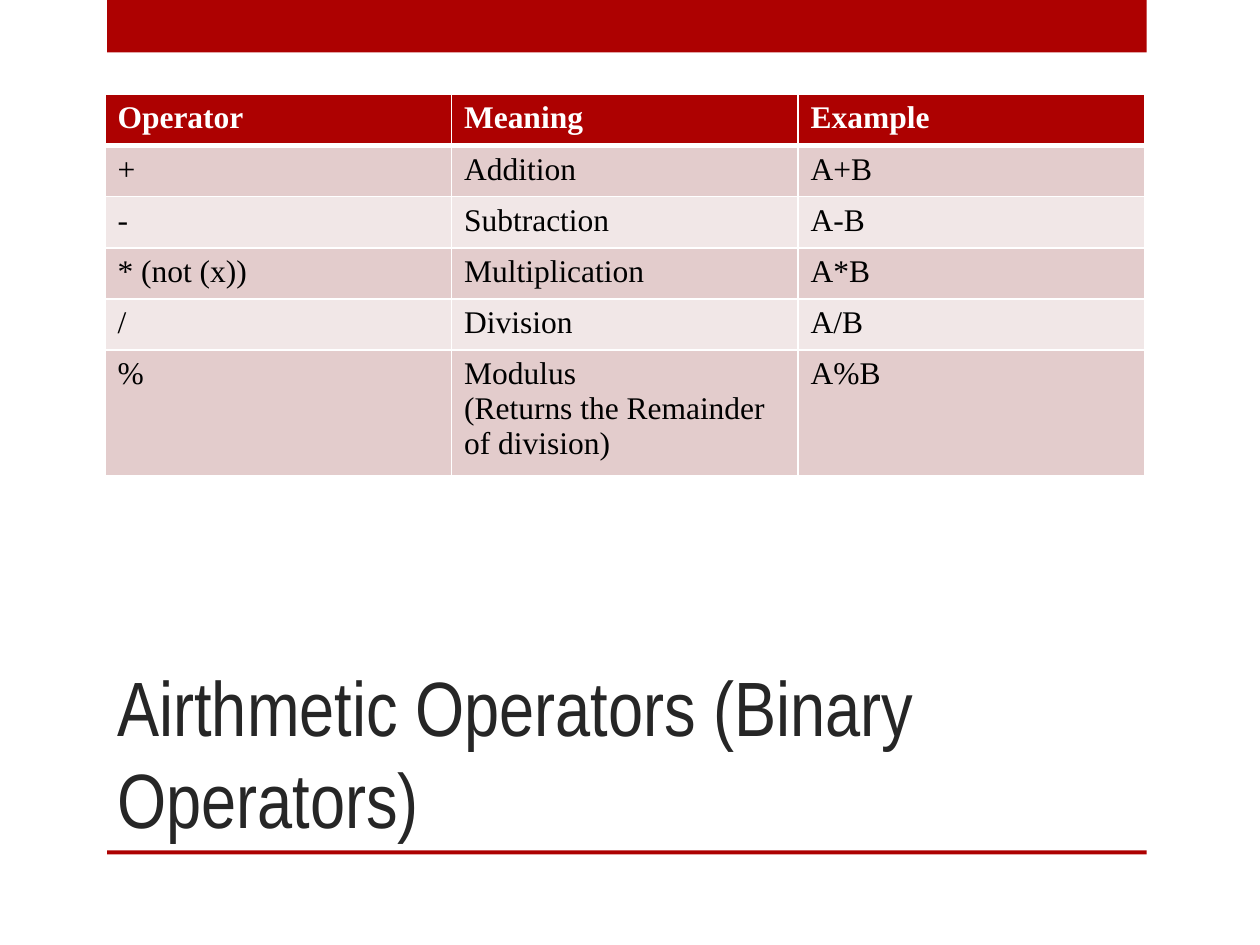
"""Build the slide on binary arithmetic operators."""
import pptx
import pptx.util
import pptx.dml.color
import pptx.enum.shapes
import pptx.enum.text
import lxml.etree
import pptx.oxml.ns

Pt = pptx.util.Pt
RED, WHITE = "AD0101", "FFFFFF"
TITLE = "Airthmetic Operators (Binary Operators)"
ROWS = [
    ("Operator", "Meaning", "Example"),
    ("+", "Addition", "A+B"),
    ("-", "Subtraction", "A-B"),
    ("* (not (x))", "Multiplication", "A*B"),
    ("/", "Division", "A/B"),
    ("%", "Modulus\n(Returns the Remainder of division)", "A%B"),
]
BARS = [(61.2, 0, 594, 30), (61.2, 486, 594, 2.2)]
TABLE = (60, 54, 594)
ROW_H = 29.2
HEAD = {"name": "Times New Roman", "size": Pt(18), "bold": True, "color": WHITE}
BODY = {**HEAD, "bold": False, "color": "000000"}
BIG = {"name": "Arial Narrow", "size": Pt(44), "color": "262626"}
BANDS = ("F1E7E7", "E3CCCC")


def tint(code):
    return pptx.dml.color.RGBColor.from_string(code)


def paint(item, code):
    item.fill.solid()
    item.fill.fore_color.rgb = tint(code)


def write(frame, text, form):
    frame.text = text
    for para in frame.paragraphs:
        for key, val in form.items():
            if key == "color":
                para.font.color.rgb = tint(val)
            else:
                setattr(para.font, key, val)


def edge(cell, widths):
    qn = pptx.oxml.ns.qn
    props = cell._tc.get_or_add_tcPr()
    for spot, (side, width) in enumerate(widths.items()):
        line = lxml.etree.Element(qn("a:ln" + side), w=str(Pt(width)))
        fill = lxml.etree.SubElement(line, qn("a:solidFill"))
        lxml.etree.SubElement(fill, qn("a:srgbClr"), val=WHITE)
        props.insert(spot, line)


def add_bars(slide):
    kind = pptx.enum.shapes.MSO_SHAPE.RECTANGLE
    for box in BARS:
        bar = slide.shapes.add_shape(kind, *map(Pt, box))
        bar.shadow.inherit = False
        paint(bar, RED)
        bar.line.fill.background()


def add_title(slide):
    frame = slide.shapes.add_textbox(Pt(60), Pt(360), Pt(534), Pt(126)).text_frame
    frame.word_wrap = True
    frame.vertical_anchor = pptx.enum.text.MSO_ANCHOR.BOTTOM
    write(frame, TITLE, BIG)


def add_grid(slide):
    size = (len(ROWS), len(ROWS[0]))
    box = (*TABLE, ROW_H * len(ROWS))
    grid = slide.shapes.add_table(*size, *map(Pt, box)).table
    for r, row in enumerate(ROWS):
        grid.rows[r].height = Pt(ROW_H)
        for c, text in enumerate(row):
            cell = grid.cell(r, c)
            write(cell.text_frame, text, BODY if r else HEAD)
            paint(cell, BANDS[r % 2] if r else RED)
            edge(cell, {"L": 1, "R": 1, "T": 3 if r == 1 else 1, "B": 1 if r else 3})


def main():
    deck = pptx.Presentation()
    deck.slide_width, deck.slide_height = Pt(720), Pt(540)
    slide = deck.slides.add_slide(deck.slide_layouts[6])
    add_bars(slide)
    add_title(slide)
    add_grid(slide)
    deck.save("out.pptx")


if __name__ == "__main__":
    main()
